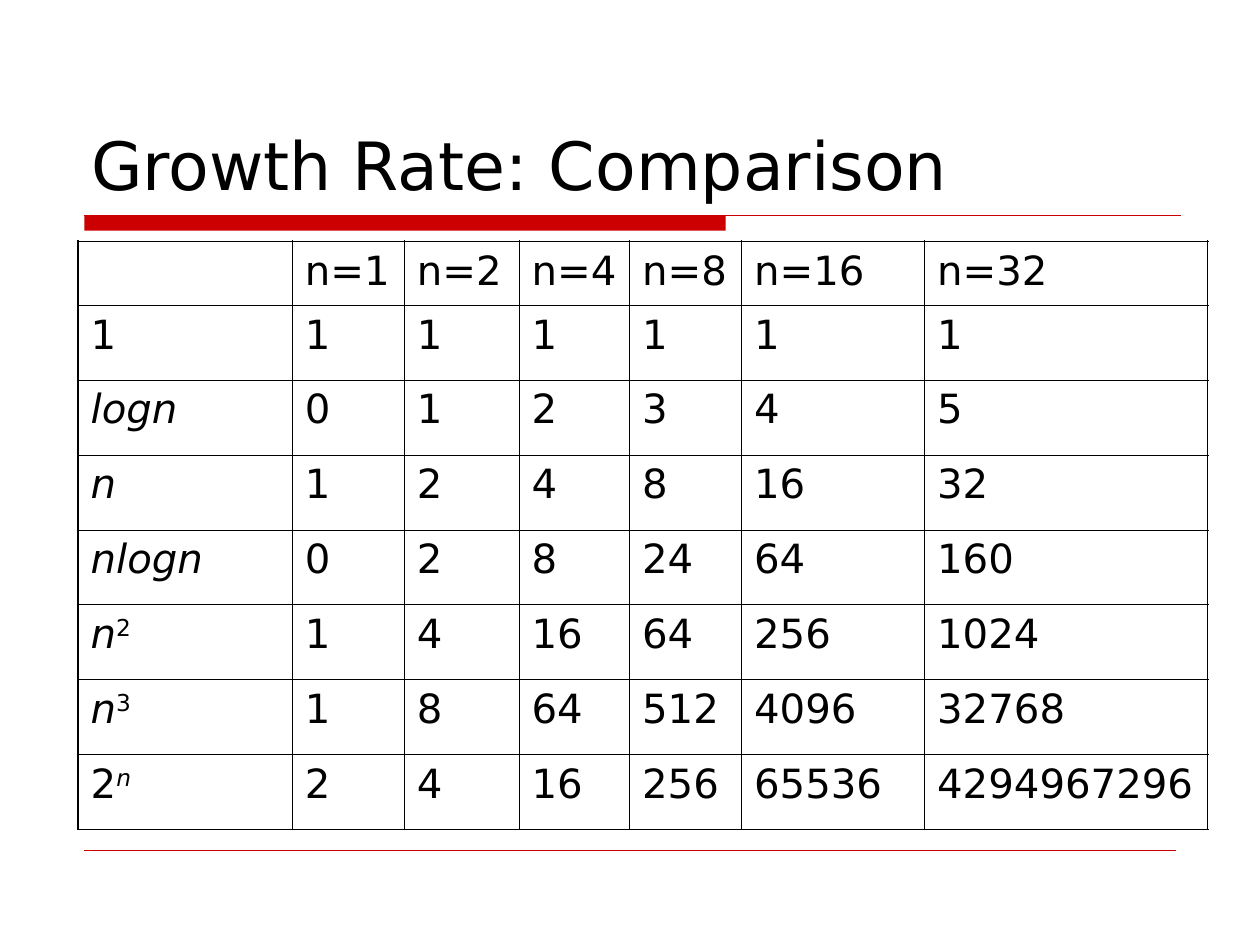
from lxml import etree
from pptx import Presentation
from pptx.dml.color import RGBColor
from pptx.enum import shapes, text
from pptx.oxml import ns
from pptx.util import Pt

LEFT = 48.24
RULE_TOP = 123.1


def color(hex_value):
    return RGBColor.from_string(hex_value)


class Deck:
    font = "DejaVu Sans"
    ink = "000000"
    accent = "CC0000"
    thin, thick = 0.45, 1.08

    def __init__(self, width, height):
        self.prs = Presentation()
        self.prs.slide_width, self.prs.slide_height = Pt(width), Pt(height)
        self.slide = self.prs.slides.add_slide(self.prs.slide_layouts[6])

    def style(self, paragraph, size):
        paragraph.font.name = self.font
        paragraph.font.size = Pt(size)
        paragraph.font.color.rgb = color(self.ink)

    def title(self, words, left, top, width, height, size):
        box = self.slide.shapes.add_textbox(Pt(left), Pt(top), Pt(width), Pt(height))
        frame = box.text_frame
        frame.word_wrap = True
        frame.vertical_anchor = text.MSO_ANCHOR.BOTTOM
        frame.text = words
        self.style(frame.paragraphs[0], size)

    def bar(self, left, top, width, height):
        bar = self.slide.shapes.add_shape(
            shapes.MSO_SHAPE.RECTANGLE, Pt(left), Pt(top), Pt(width), Pt(height))
        bar.shadow.inherit = False
        bar.fill.solid()
        bar.fill.fore_color.rgb = color(self.accent)
        bar.line.fill.background()

    def rule(self, left, right, y, weight):
        rule = self.slide.shapes.add_connector(
            shapes.MSO_CONNECTOR.STRAIGHT, Pt(left), Pt(y), Pt(right), Pt(y))
        rule.line.color.rgb = color(self.accent)
        rule.line.width = Pt(weight)
        etree.SubElement(rule._element.spPr, ns.qn("a:effectLst"))

    def borders(self, cell, weights):
        """Set the left, right, top and bottom border weights of a cell."""
        props = cell._tc.get_or_add_tcPr()
        for place, (side, weight) in enumerate(zip("LRTB", weights)):
            border = etree.Element(ns.qn(f"a:ln{side}"), w=str(Pt(weight)))
            fill = etree.SubElement(border, ns.qn("a:solidFill"))
            etree.SubElement(fill, ns.qn("a:srgbClr"), val=self.ink)
            props.insert(place, border)

    def cell_text(self, cell, words, size):
        """Write words; a letter is italic, and ^ starts a superscript."""
        paragraph = cell.text_frame.paragraphs[0]
        paragraph.space_before = Pt(5.8)
        self.style(paragraph, size)
        for level, part in enumerate(words.split("^")):
            if not part:
                continue
            run = paragraph.add_run()
            run.text = part
            if part.isalpha():
                run.font.italic = True
            if level:
                run._r.get_or_add_rPr().set("baseline", "30000")

    def table(self, rows, left, top, widths, heights, size):
        table = self.slide.shapes.add_table(
            len(rows), len(widths), Pt(left), Pt(top),
            Pt(sum(widths)), Pt(sum(heights))).table
        table.first_row = table.horz_banding = False
        for column, width in zip(table.columns, widths):
            column.width = Pt(width)
        for row, height in zip(table.rows, heights):
            row.height = Pt(height)
        last_row, last_column = len(rows) - 1, len(widths) - 1
        for r, row in enumerate(rows):
            for c, words in enumerate(row):
                cell = table.cell(r, c)
                cell.fill.background()
                outer = (c == 0, c == last_column, r == 0, r == last_row)
                self.borders(cell, [self.thick if edge else self.thin for edge in outer])
                self.cell_text(cell, words, size)


def main():
    deck = Deck(720, 540)

    # Title and its two-weight underline
    deck.bar(LEFT, RULE_TOP, 366.5, 8.7)
    deck.rule(LEFT, 674.6, RULE_TOP, 0.75)
    deck.title("Growth Rate: Comparison", 45, 24, 630, 96, 38)

    # Footer rule
    deck.rule(LEFT, 672, 486, 0.25)

    # Growth of each function as n doubles
    sizes = [1, 2, 4, 8, 16, 32]
    growth = {
        "1": lambda n: 1,
        "logn": lambda n: n.bit_length() - 1,
        "n": lambda n: n,
        "nlogn": lambda n: n * (n.bit_length() - 1),
        "n^2": lambda n: n ** 2,
        "n^3": lambda n: n ** 3,
        "2^n": lambda n: 2 ** n,
    }
    rows = [[""] + [f"n={n}" for n in sizes]]
    rows += [[name] + [str(rate(n)) for n in sizes] for name, rate in growth.items()]
    widths = [122.4, 64, 65.6, 63.2, 64, 104.6, 161.8]
    heights = [36.6] + [42.8] * len(growth)
    deck.table(rows, 44.6, 137.9, widths, heights, 23)

    deck.prs.save("out.pptx")


if __name__ == "__main__":
    main()
